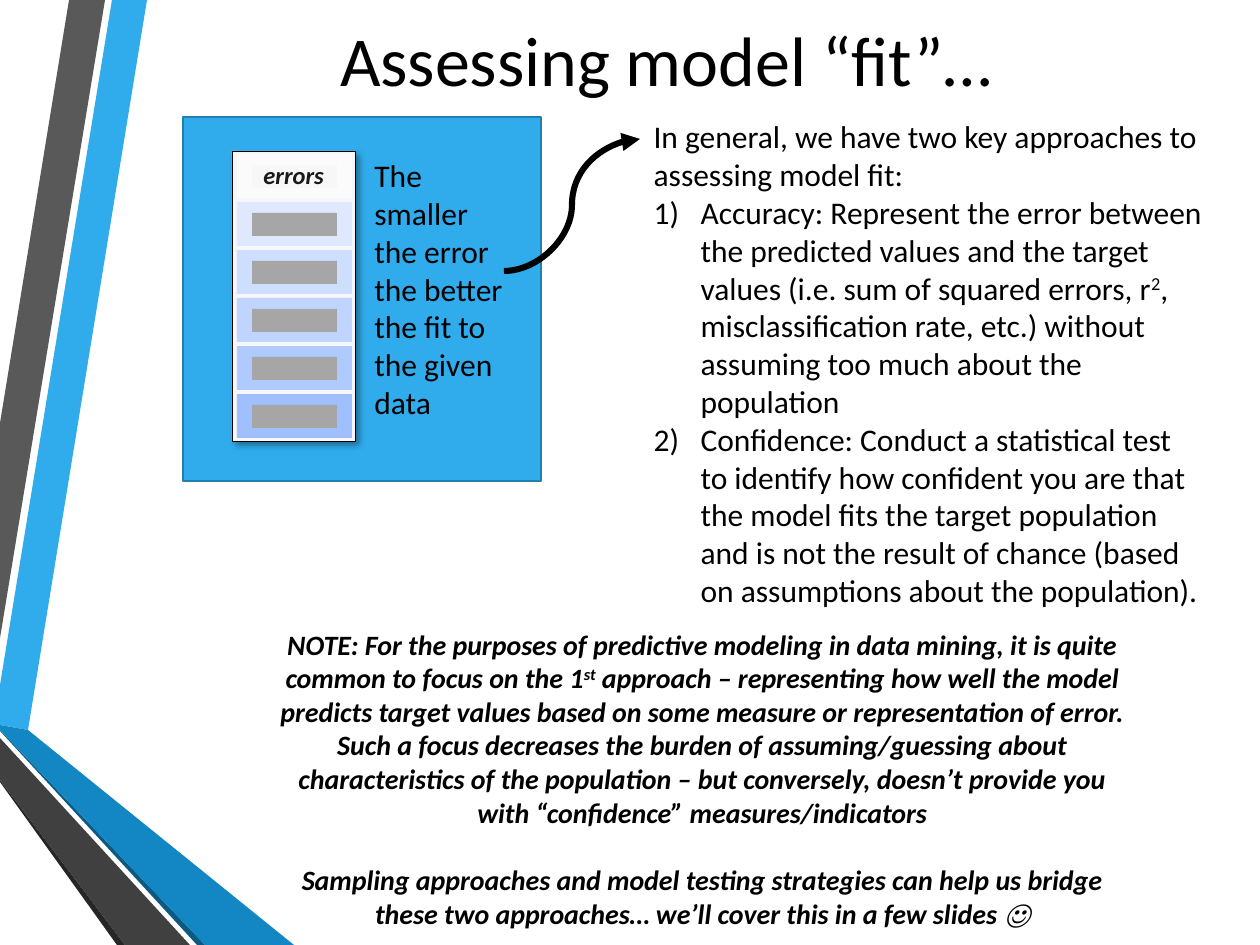
from dataclasses import dataclass

from lxml import etree
from pptx import Presentation
from pptx import util as u
from pptx.dml.color import RGBColor
from pptx.enum import shapes, text
from pptx.oxml import ns

PX = 914400 / 126

BLACK = RGBColor(0x00, 0x00, 0x00)
INK = RGBColor(0x19, 0x19, 0x19)
BLUE = RGBColor(0x30, 0xAC, 0xEC)
EDGE = RGBColor(0x24, 0x7F, 0xAF)
DEEP = RGBColor(0x12, 0x87, 0xC3)
NAVY = RGBColor(0x0C, 0x5A, 0x82)
GRAY = RGBColor(0x59, 0x59, 0x59)
DARK = RGBColor(0x40, 0x40, 0x40)
COAL = RGBColor(0x26, 0x26, 0x26)
BAR = RGBColor(0xA6, 0xA6, 0xA6)
PALE = RGBColor(0xF7, 0xF7, 0xF7)
WHITE = RGBColor(0xFB, 0xFB, 0xFB)
TINTS = [
    RGBColor(0xDE, 0xE9, 0xFF),
    RGBColor(0xCE, 0xDE, 0xFF),
    RGBColor(0xBF, 0xD4, 0xFF),
    RGBColor(0xAF, 0xCA, 0xFF),
    RGBColor(0xA0, 0xBF, 0xFF),
]

BODY = {"name": "Calibri", "size": u.Pt(18), "bold": False, "italic": False}
HEAD = BODY | {"size": u.Pt(40)}
LABEL = BODY | {"size": u.Pt(14), "bold": True, "italic": True}
NOTE = LABEL | {"size": u.Pt(16)}


@dataclass
class Box:
    x: int
    y: int
    w: int
    h: int


@dataclass
class Strip:
    color: RGBColor
    points: list[tuple[int, int]]


@dataclass
class Para:
    runs: list[str]
    listed: bool = False
    gap: float = 0


STRIPS = [
    Strip(BLUE, [(0, 685), (0, 725), (28, 730), (147, 0), (112, 0)]),
    Strip(GRAY, [(105, 0), (69, 0), (0, 423), (0, 638)]),
    Strip(COAL, [(0, 780), (0, 782), (117, 945), (125, 945)]),
    Strip(NAVY, [(0, 730), (0, 731), (197, 945), (205, 945)]),
    Strip(DEEP, [(0, 730), (205, 945), (294, 945), (28, 730), (0, 725)]),
    Strip(DARK, [(0, 780), (125, 945), (190, 945), (0, 738)]),
]

TITLE = [Para(["Assessing model “fit”…"])]
ERRORS = [Para(["errors"])]
FIT = [Para(["The smaller the error the better the fit to the given data"])]
LIST = [
    Para(["In general, we have two key approaches to assessing model fit:"]),
    Para([
        "Accuracy: Represent the error between the predicted values and the "
        "target values (i.e. sum of squared errors, r",
        "2",
        ", misclassification rate, etc.) without assuming too much about the population",
    ], listed=True),
    Para([
        "Confidence: Conduct a statistical test to identify how confident you "
        "are that the model fits the target population and is not the result of "
        "chance (based on assumptions about the population).",
    ], listed=True),
]
NOTES = [
    Para([
        "NOTE: For the purposes of predictive modeling in data mining, it is "
        "quite common to focus on the 1",
        "st",
        " approach – representing how well the model predicts target values "
        "based on some measure or representation of error. Such a focus "
        "decreases the burden of assuming/guessing about characteristics of the "
        "population – but conversely, doesn’t provide you with “confidence” "
        "measures/indicators",
    ]),
    Para([
        "Sampling approaches and model testing strategies can help us bridge "
        "these two approaches… we’ll cover this in a few slides ☺",
    ], gap=19.5),
]


def px(n: int) -> u.Emu:
    return u.Emu(round(n * PX))


def span(box: Box) -> list[u.Emu]:
    return [px(n) for n in (box.x, box.y, box.w, box.h)]


def add(root, tag: str, **attrs: str):
    node = etree.SubElement(root, ns.qn(tag))
    for key, val in attrs.items():
        node.set(key, val)
    return node


def paint(shape, fill: RGBColor, edge: RGBColor | None = None, width: float = 1) -> None:
    shape.fill.solid()
    shape.fill.fore_color.rgb = fill
    if edge is None:
        shape.line.fill.background()
    else:
        shape.line.color.rgb = edge
        shape.line.width = u.Pt(width)
    shape.shadow.inherit = False


def rect(slide, box: Box, fill: RGBColor, edge: RGBColor | None = None, width: float = 1):
    shape = slide.shapes.add_shape(shapes.MSO_SHAPE.RECTANGLE, *span(box))
    paint(shape, fill, edge, width)
    return shape


def ribbon(slide, strip: Strip) -> None:
    form = slide.shapes.build_freeform(*strip.points[0], scale=PX)
    form.add_line_segments(strip.points[1:], close=True)
    paint(form.convert_to_shape(), strip.color)


def write(shape, paras: list[Para], style: dict, color: RGBColor = BLACK,
          align=text.PP_ALIGN.LEFT, anchor=text.MSO_ANCHOR.TOP, wrap: bool = True) -> None:
    frame = shape.text_frame
    form = {"word_wrap": wrap, "auto_size": text.MSO_AUTO_SIZE.NONE, "vertical_anchor": anchor}
    for key, val in form.items():
        setattr(frame, key, val)
    for i, item in enumerate(paras):
        para = frame.add_paragraph() if i else frame.paragraphs[0]
        para.alignment = align
        para.space_before = u.Pt(item.gap)
        props = para._p.get_or_add_pPr()
        dent = px(47) if item.listed else 0
        props.set("marL", str(dent))
        props.set("indent", str(-dent))
        if item.listed:
            add(props, "a:buFont", typeface="+mj-lt")
            add(props, "a:buAutoNum", type="arabicParenR")
        else:
            add(props, "a:buNone")
        for k, words in enumerate(item.runs):
            run = para.add_run()
            run.text = words
            for key, val in style.items():
                setattr(run.font, key, val)
            run.font.color.rgb = color
            if k % 2:
                run._r.get_or_add_rPr().set("baseline", "30000")


def place(shape, box: Box):
    for key, val in zip(("left", "top", "width", "height"), span(box)):
        setattr(shape, key, val)
    return shape


def card(slide) -> None:
    base = rect(slide, Box(232, 151, 123, 290), PALE, BLACK, 0.25)
    glow = base._element.spPr.find(ns.qn("a:effectLst"))
    shade = add(glow, "a:outerShdw", blurRad=str(u.Pt(4)), dist=str(u.Pt(3)),
                dir="2700000", algn="tl", rotWithShape="0")
    add(add(shade, "a:srgbClr", val=str(BLACK)), "a:alpha", val="40000")
    rows = [(WHITE, PALE)] + [(tint, BAR) for tint in TINTS]
    for i, (band, bar) in enumerate(rows):
        top = 154 + 48 * i
        rect(slide, Box(237, top, 115, 44), band)
        rect(slide, Box(252, top + 11, 85, 23), bar)
    label = slide.shapes.add_textbox(*span(Box(251, 154, 87, 43)))
    write(label, ERRORS, LABEL, INK, wrap=False)


def arrow(slide) -> None:
    ends = [px(n) for n in (504, 271, 640, 139)]
    line = slide.shapes.add_connector(shapes.MSO_CONNECTOR.CURVE, *ends)
    line.line.color.rgb = BLACK
    line.line.width = u.Pt(3.5)
    add(line.line._get_or_add_ln(), "a:tailEnd", type="triangle")
    add(line._element.spPr, "a:effectLst")


def main() -> None:
    deck = Presentation()
    deck.slide_width, deck.slide_height = px(1260), px(945)
    slide = deck.slides.add_slide(deck.slide_layouts[1])
    for strip in STRIPS:
        ribbon(slide, strip)
    title = place(slide.shapes.title, Box(135, 0, 1062, 117))
    write(title, TITLE, HEAD, align=text.PP_ALIGN.CENTER, anchor=text.MSO_ANCHOR.MIDDLE)
    rect(slide, Box(183, 117, 358, 364), BLUE, EDGE, 1.25)
    card(slide)
    write(slide.shapes.add_textbox(*span(Box(362, 150, 167, 280))), FIT, BODY)
    arrow(slide)
    write(place(slide.placeholders[1], Box(641, 111, 576, 509)), LIST, BODY)
    note = slide.shapes.add_textbox(*span(Box(261, 621, 883, 318)))
    write(note, NOTES, NOTE, align=text.PP_ALIGN.CENTER)
    deck.save("out.pptx")


if __name__ == "__main__":
    main()
